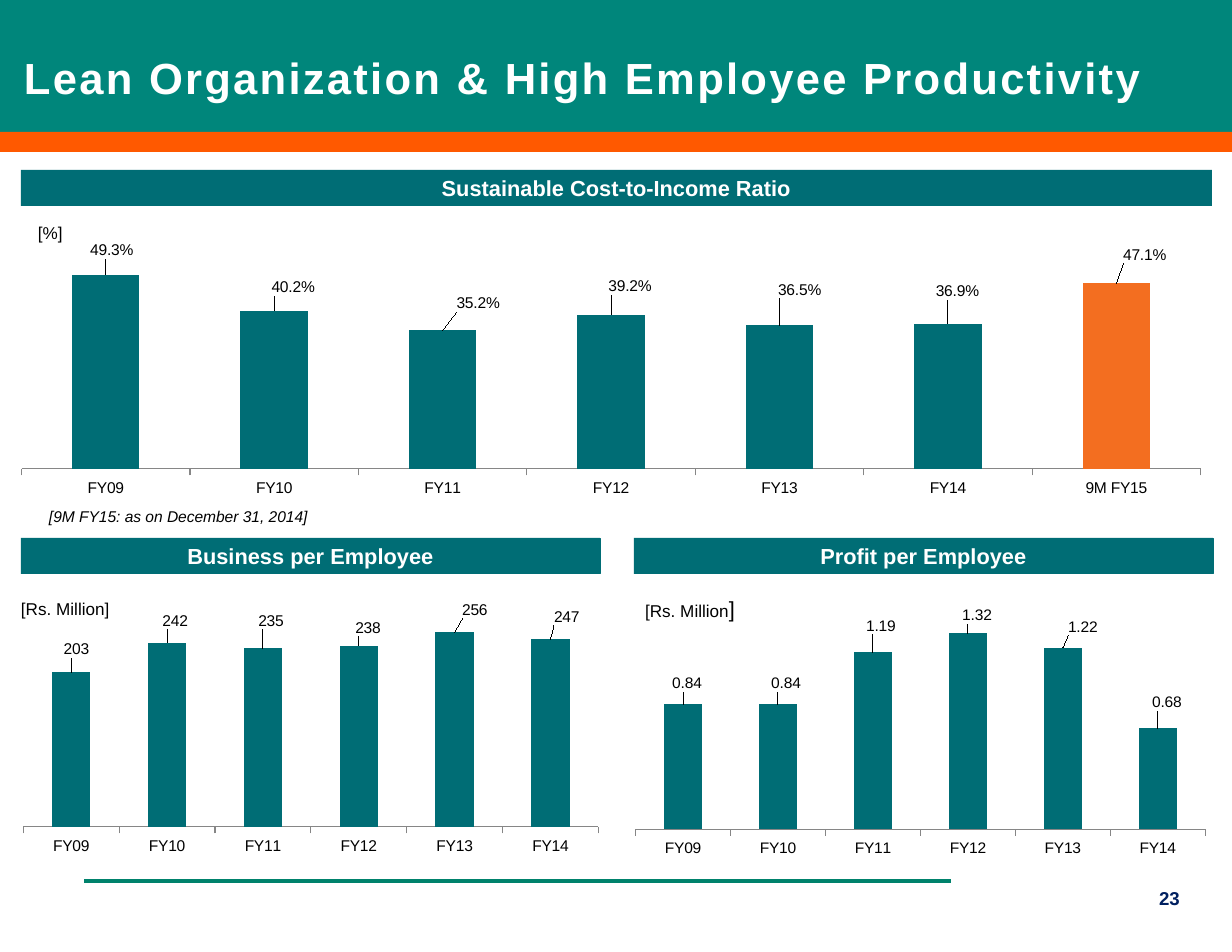
import pptx
import pptx.chart.data
import pptx.dml.color
import pptx.enum.chart
import pptx.enum.shapes
import pptx.enum.text
import pptx.oxml
import pptx.oxml.ns
import pptx.util

PX = 914400 / 112
FONT = "Arial"
COLORS = {
    "green": "00867B", "orange": "FF5900", "rule": "00826C", "teal": "006D75",
    "highlight": "F36E20", "axis": "868686", "navy": "002060",
    "black": "000000", "white": "FFFFFF",
}
YEARS = ["FY09", "FY10", "FY11", "FY12", "FY13", "FY14"]
Align = pptx.enum.text.PP_ALIGN
Anchor = pptx.enum.text.MSO_ANCHOR


def px(length):
    return pptx.util.Emu(round(length * PX))


def place(box):
    return [px(length) for length in box]


def rgb(name):
    return pptx.dml.color.RGBColor.from_string(COLORS[name])


def style(font, size, color, bold=False, italic=False):
    font.name, font.size = FONT, pptx.util.Pt(size)
    font.bold, font.italic = bold, italic
    font.color.rgb = rgb(color)


def set_frame(frame, anchor, inset_y=0):
    frame.word_wrap = True
    frame.auto_size = pptx.enum.text.MSO_AUTO_SIZE.NONE
    frame.vertical_anchor = anchor
    frame.margin_left = frame.margin_right = 0
    frame.margin_top = frame.margin_bottom = px(inset_y)


def add_band(slide, box, color):
    band = slide.shapes.add_shape(pptx.enum.shapes.MSO_SHAPE.RECTANGLE, *place(box))
    band.shadow.inherit = False
    band.fill.solid()
    band.fill.fore_color.rgb = rgb(color)
    band.line.fill.background()
    return band


def add_label(slide, box, text, size=11, color="black", align=Align.LEFT, **emphasis):
    frame = slide.shapes.add_textbox(*place(box)).text_frame
    set_frame(frame, Anchor.TOP)
    paragraph = frame.paragraphs[0]
    paragraph.text, paragraph.alignment = text, align
    style(paragraph.runs[0].font, size, color, **emphasis)
    return paragraph


def add_header(slide, box):
    left, top, width, height = box
    add_band(slide, (left, top, width, height - 20), "green")
    add_band(slide, (left, top + height - 20, width, 20), "orange")
    title = slide.shapes.title
    title.left, title.top, title.width, title.height = place((left + 24, top + 30, 1161, 80))
    set_frame(title.text_frame, Anchor.BOTTOM, 7)
    paragraph = title.text_frame.paragraphs[0]
    paragraph.text = "Lean Organization & High Employee Productivity"
    paragraph.alignment, paragraph.line_spacing = Align.LEFT, 0.8
    run = paragraph.runs[0]
    style(run.font, 28, "white", bold=True)
    run.font._element.set("spc", "150")
    # The title belongs in front of the green band.
    title.element.getparent().append(title.element)


def add_heading(slide, box, text):
    heading = add_band(slide, box, "teal")
    heading.line.color.rgb = rgb("teal")
    heading.line.width = pptx.util.Pt(0.5)
    set_frame(heading.text_frame, Anchor.MIDDLE, 2)
    paragraph = heading.text_frame.paragraphs[0]
    paragraph.text, paragraph.alignment = text, Align.CENTER
    style(paragraph.runs[0].font, 14, "white", bold=True)


def manual_layout(fractions, inner=False):
    modes = '<c:layoutTarget val="inner"/><c:xMode val="edge"/><c:yMode val="edge"/>' if inner else ""
    values = "".join(f'<c:{key} val="{value:.3f}"/>' for key, value in zip("xywh", fractions))
    return pptx.oxml.parse_xml(
        f'<c:layout {pptx.oxml.ns.nsdecls("c")}><c:manualLayout>'
        f"{modes}{values}</c:manualLayout></c:layout>")


def add_columns(slide, box, categories, values, number_format, top_value, plot, shifts):
    """Column chart; shifts move each label, in px, from its place above the column."""
    data = pptx.chart.data.CategoryChartData(number_format=number_format)
    data.categories = categories
    data.add_series("Series 1", values)
    chart = slide.shapes.add_chart(
        pptx.enum.chart.XL_CHART_TYPE.COLUMN_CLUSTERED, *place(box), data).chart
    style(chart.font, 10, "black")
    chart.has_legend = chart.has_title = False

    value_axis, category_axis = chart.value_axis, chart.category_axis
    value_axis.minimum_scale, value_axis.maximum_scale = 0, top_value
    value_axis.has_major_gridlines = False
    value_axis.major_tick_mark = pptx.enum.chart.XL_TICK_MARK.NONE
    value_axis.tick_label_position = pptx.enum.chart.XL_TICK_LABEL_POSITION.NONE
    value_axis.format.line.fill.background()
    category_axis.major_tick_mark = pptx.enum.chart.XL_TICK_MARK.OUTSIDE
    category_axis.format.line.color.rgb = rgb("axis")

    columns = chart.plots[0]
    columns.gap_width, columns.vary_by_categories = 150, False
    series = columns.series[0]
    series.format.fill.solid()
    series.format.fill.fore_color.rgb = rgb("teal")
    labels = series.data_labels
    labels.show_value = True
    labels.number_format, labels.number_format_is_linked = number_format, False
    outside = pptx.enum.chart.XL_LABEL_POSITION.OUTSIDE_END
    labels.position = outside
    for index, (right, down) in enumerate(shifts):
        series.points[index].data_label.position = outside
        layout = manual_layout((right / box[2], down / box[3]))
        labels._element.findall(pptx.oxml.ns.qn("c:dLbl"))[index].insert(1, layout)

    plot_area = chart._chartSpace.chart.plotArea
    for old in plot_area.findall(pptx.oxml.ns.qn("c:layout")):
        plot_area.remove(old)
    plot_area.insert(0, manual_layout(plot, inner=True))
    return series


def add_cost_ratio(slide, box):
    left, top, width, height = box
    add_heading(slide, (left, top, width, 36), "Sustainable Cost-to-Income Ratio")
    ratio = add_columns(
        slide, (left, top + 52, 1182, 315), YEARS + ["9M FY15"],
        [49.3, 40.2, 35.2, 39.2, 36.5, 36.9, 47.1], '0.0"%"', 60, (0, 0.034, 0.998, 0.75),
        [(6, -11), (19, -10), (35, -14), (19, -15), (20, -22), (10, -19), (28, -15)])
    current = ratio.points[len(YEARS)].format.fill
    current.solid()
    current.fore_color.rgb = rgb("highlight")
    add_label(slide, (left + 17, top + 52, 97, 21), "[%]")
    add_label(slide, (left + 28, top + height - 21, 282, 21),
              "[9M FY15: as on December 31, 2014]", 10, italic=True)


def add_business(slide, box):
    left, top, width, height = box
    add_heading(slide, (left, top, width, 36), "Business per Employee")
    add_columns(
        slide, (left, top + 43, 578, 280), YEARS, [203, 242, 235, 238, 256, 247],
        "#,##0", 300, (0.004, 0.064, 0.996, 0.814),
        [(5, -10), (8, -9), (8, -14), (9, -5), (20, -9), (16, -9)])
    add_label(slide, (left, top + 60, 97, 21), "[Rs. Million]")


def add_profit(slide, box):
    left, top, width, height = box
    add_heading(slide, (left, top, width, 36), "Profit per Employee")
    add_columns(
        slide, (left + 1, top + 69, 572, 271), YEARS, [0.84, 0.84, 1.19, 1.32, 1.22, 0.68],
        "#,##0.00", 1.45, (0.001, 0.002, 0.996, 0.814),
        [(4, -8), (8, -8), (8, -14), (9, -5), (20, -8), (9, -13)])
    unit = add_label(slide, (left + 11, top + 58, 110, 27), "[Rs. Million")
    bracket = unit.add_run()
    bracket.text = "]"
    style(bracket.font, 14, "black")


def add_footer(slide, box):
    left, top, width, height = box
    rule = slide.shapes.add_connector(
        pptx.enum.shapes.MSO_CONNECTOR.STRAIGHT,
        px(left), px(top), px(left + 867), px(top))
    rule.line.color.rgb = rgb("rule")
    rule.line.width = pptx.util.Pt(3)
    rule._element.spPr.append(pptx.oxml.parse_xml(
        f'<a:effectLst {pptx.oxml.ns.nsdecls("a")}/>'))
    add_label(slide, (left + width - 53, top + 6, 51, 31), "23", 12, "navy",
              Align.CENTER, bold=True)


def main():
    deck = pptx.Presentation()
    deck.slide_width, deck.slide_height = px(1232), px(952)
    slide = deck.slides.add_slide(deck.slide_layouts[5])
    add_header(slide, (0, 0, 1232, 152))
    add_cost_ratio(slide, (21, 170, 1191, 358))
    add_business(slide, (21, 538, 579, 323))
    add_profit(slide, (634, 538, 579, 340))
    add_footer(slide, (84, 881, 1113, 37))
    deck.save("out.pptx")


if __name__ == "__main__":
    main()
